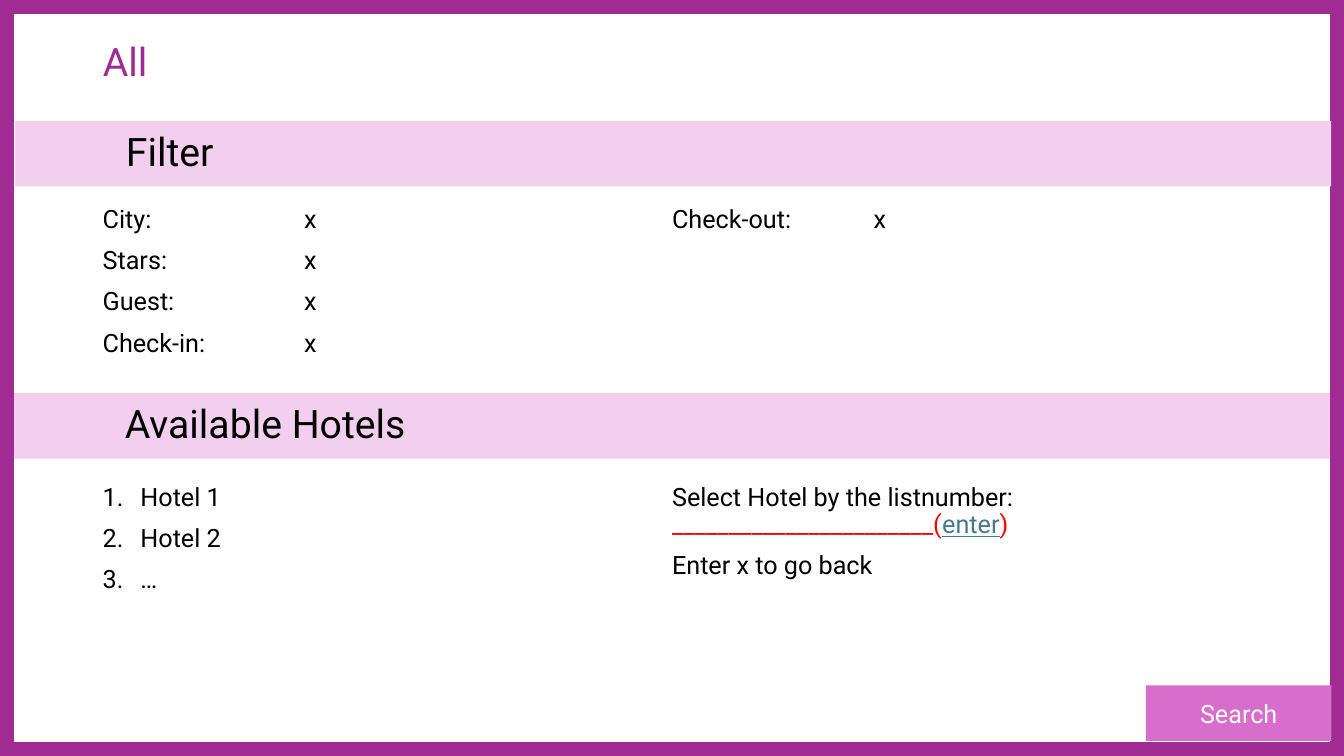
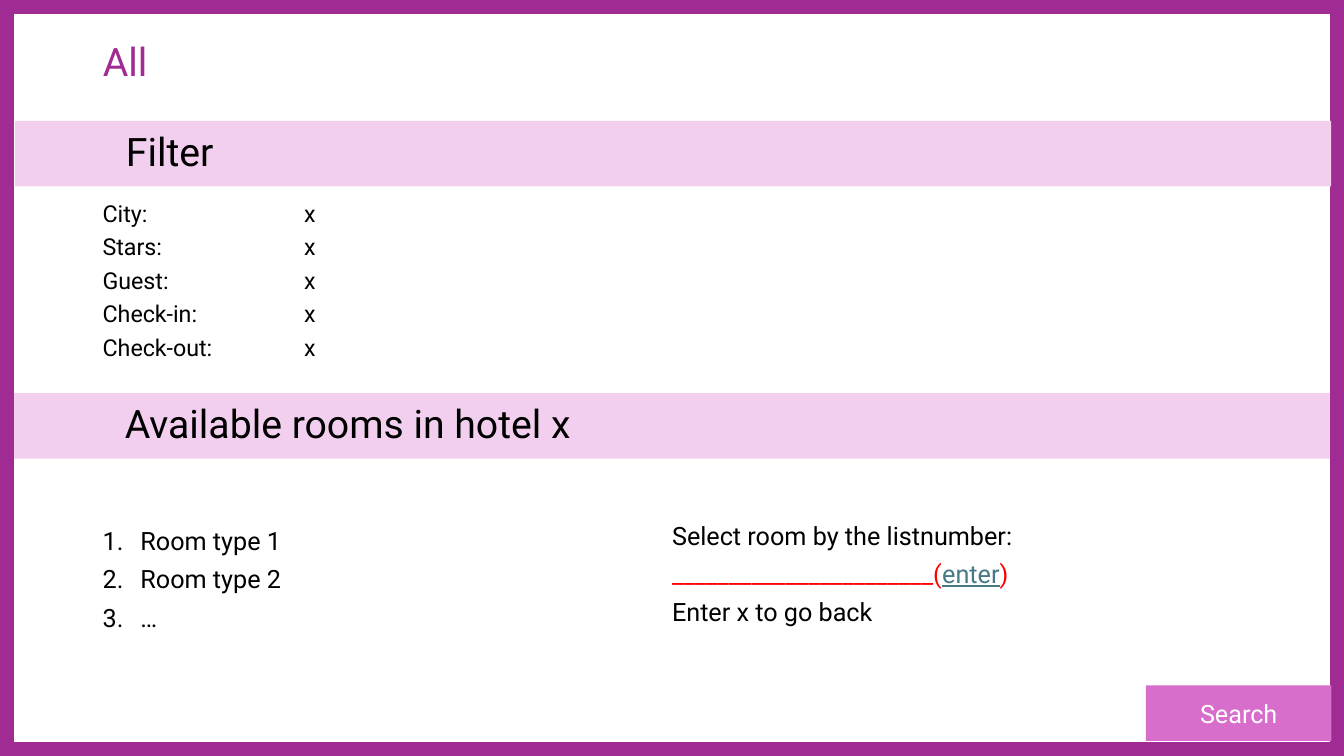
from dataclasses import dataclass

from lxml.etree import SubElement
from pptx import Presentation
from pptx.dml.color import RGBColor
from pptx.enum.shapes import MSO_SHAPE
from pptx.enum.text import MSO_ANCHOR, MSO_AUTO_SIZE, PP_ALIGN
from pptx.oxml.ns import qn
from pptx.util import Pt


@dataclass(frozen=True)
class Theme:
    font: str = "Roboto"
    main: str = "A02B93"
    pale: str = "F2CFEE"
    button: str = "D86ECC"
    ink: str = "000000"
    paper: str = "FFFFFF"
    alert: str = "FF0000"
    link: str = "467886"
    head: float = 28
    body: float = 18
    small: float = 16.6


THEME = Theme()
WIDE, HIGH = 960, 540
LEFT, RIGHT = 66.25, 473
HALF = 421
TAB, HANG = 144, 27
ENTRY = [
    ("_______________________(", {"color": THEME.alert}),
    ("enter", {"color": THEME.link, "underline": True}),
    (")", {"color": THEME.alert}),
]


def put(item, **vals):
    for name, val in vals.items():
        setattr(item, name, val)


def write(para, text, size=THEME.body, color=THEME.ink, **style):
    run = para.add_run()
    run.text = text
    put(run.font, name=THEME.font, size=Pt(size), **style)
    run.font.color.rgb = RGBColor.from_string(color)


def add_tab(para):
    tabs = SubElement(para._p.get_or_add_pPr(), qn("a:tabLst"))
    SubElement(tabs, qn("a:tab"), pos=str(Pt(TAB)), algn="l")


def add_number(para):
    props = para._p.get_or_add_pPr()
    props.set("marL", str(Pt(HANG)))
    props.set("indent", str(-Pt(HANG)))
    SubElement(props, qn("a:buFont"), typeface="+mj-lt")
    SubElement(props, qn("a:buAutoNum"), type="arabicPeriod")


def add_text(slide, left, top, high, paras, lead, size=THEME.body, mark=None):
    """Add a column; each paragraph is a list of (text, style) pairs."""
    box = slide.shapes.add_textbox(Pt(left), Pt(top), Pt(HALF), Pt(high))
    frame = box.text_frame
    put(frame, word_wrap=True, auto_size=MSO_AUTO_SIZE.NONE)
    for num, parts in enumerate(paras):
        para = frame.add_paragraph() if num else frame.paragraphs[0]
        if mark:
            mark(para)
        put(para, line_spacing=lead, space_before=Pt(10 if num else 0))
        for text, style in parts:
            write(para, text, size, **style)


def add_rows(slide, left, names, lead, size):
    paras = [[(name + ":\tx", {})] for name in names]
    add_text(slide, left, 144, 122.4, paras, lead, size, add_tab)


def add_list(slide, top, items, lead):
    paras = [[(item, {})] for item in items]
    add_text(slide, LEFT, top, 125, paras, lead, mark=add_number)


def add_box(slide, left, top, wide, high, fill=None):
    box = slide.shapes.add_shape(
        MSO_SHAPE.RECTANGLE, Pt(left), Pt(top), Pt(wide), Pt(high))
    box.shadow.inherit = False
    box.line.fill.background()
    if fill:
        box.fill.solid()
        box.fill.fore_color.rgb = RGBColor.from_string(fill)
    else:
        box.fill.background()
    put(box.text_frame, vertical_anchor=MSO_ANCHOR.MIDDLE, word_wrap=True)
    return box


def add_band(slide, left, top, text):
    box = add_box(slide, left, top, 940, 46.8, THEME.pale)
    box.text_frame.margin_left = Pt(79.2)
    para = box.text_frame.paragraphs[0]
    put(para, alignment=PP_ALIGN.LEFT, line_spacing=0.9)
    write(para, text, THEME.head)


def add_title(slide, text):
    title = slide.shapes.title
    put(title, left=Pt(LEFT), top=Pt(22.3), width=Pt(828), height=Pt(46.8))
    put(title.text_frame, vertical_anchor=MSO_ANCHOR.MIDDLE,
        auto_size=MSO_AUTO_SIZE.NONE)
    para = title.text_frame.paragraphs[0]
    put(para, alignment=PP_ALIGN.LEFT, line_spacing=0.9)
    write(para, text, THEME.head, THEME.main)


def add_page(deck, head):
    """Add a slide with the border, button, title and both bands."""
    slide = deck.slides.add_slide(deck.slide_layouts[5])
    edge = add_box(slide, 0, 0, WIDE, HIGH)
    edge.line.color.rgb = RGBColor.from_string(THEME.main)
    edge.line.width = Pt(20)
    button = add_box(slide, 818.6, 489.6, 132.5, 39.6, THEME.button)
    para = button.text_frame.paragraphs[0]
    para.alignment = PP_ALIGN.CENTER
    write(para, "Search", color=THEME.paper)
    add_title(slide, "All")
    add_band(slide, 10.8, 86.4, "Filter")
    add_band(slide, 10, 280.8, head)
    return slide


def main():
    deck = Presentation()
    put(deck, slide_width=Pt(WIDE), slide_height=Pt(HIGH))
    names = ["City", "Stars", "Guest", "Check-in", "Check-out"]
    back = [("Enter x to go back", {})]

    hotels = add_page(deck, "Available Hotels")
    add_rows(hotels, LEFT, names[:4], 0.9, THEME.body)
    add_rows(hotels, RIGHT, names[4:], 0.9, THEME.body)
    add_list(hotels, 342.7, ["Hotel 1", "Hotel 2", "…"], 0.9)
    ask = [("Select Hotel by the listnumber: ", {})]
    add_text(hotels, RIGHT, 342.7, 125, [ask + ENTRY, back], 0.9)

    rooms = add_page(deck, "Available rooms in hotel x")
    add_rows(rooms, LEFT, names, 0.7, THEME.small)
    add_list(rooms, 376, ["Room type 1", "Room type 2", "…"], 0.8)
    ask = [("Select room by the listnumber:", {})]
    add_text(rooms, RIGHT, 372, 110, [ask, ENTRY, back], 0.8)

    deck.save("out.pptx")


if __name__ == "__main__":
    main()
